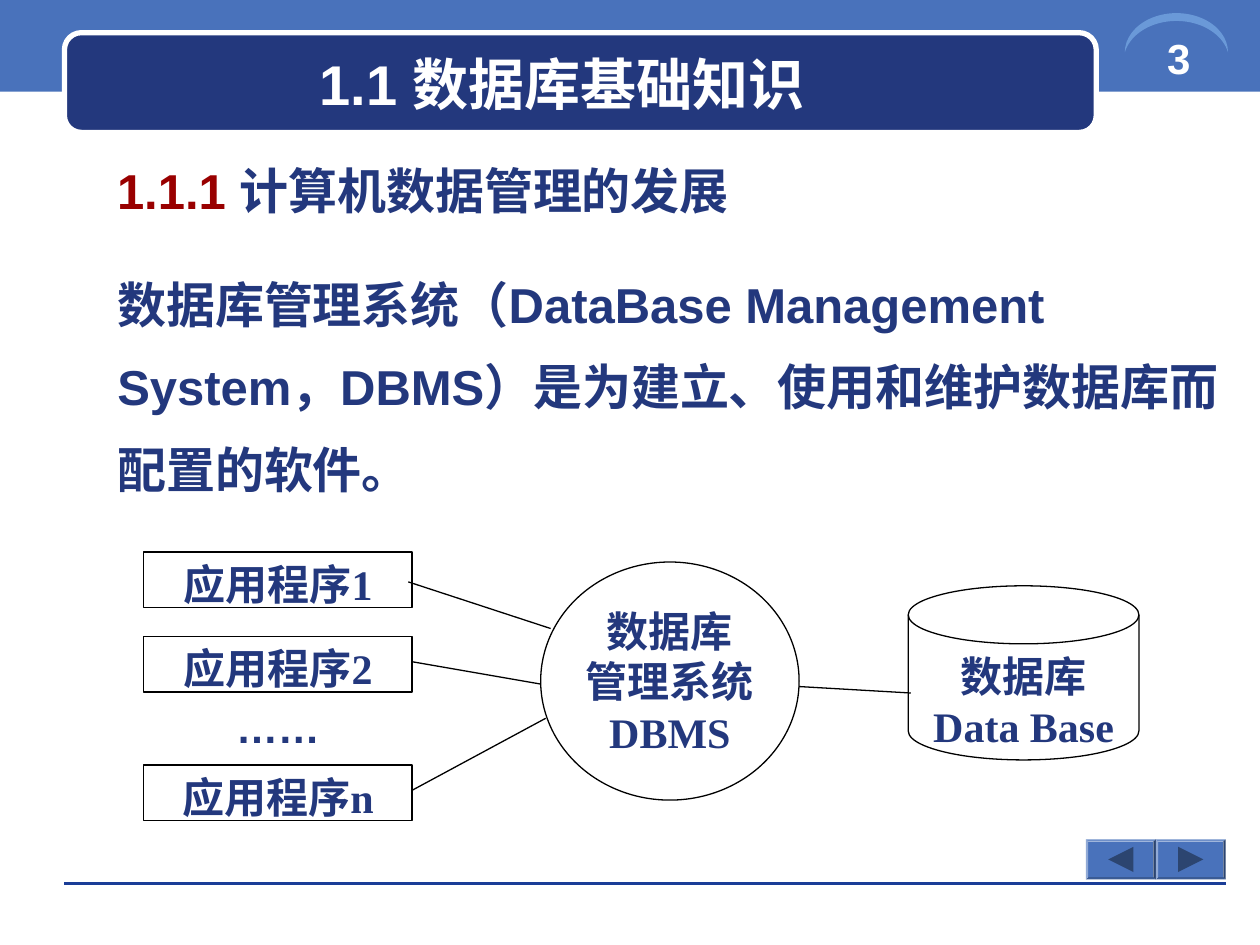
from lxml.etree import SubElement
from pptx import Presentation
from pptx.dml.color import RGBColor
from pptx.enum.shapes import MSO_CONNECTOR as CONN, MSO_SHAPE as SHAPE
from pptx.enum.text import MSO_ANCHOR as ANCHOR, MSO_AUTO_SIZE as AUTO, PP_ALIGN as ALIGN
from pptx.oxml.ns import qn
from pptx.util import Cm, Pt

NAVY, BLUE, SKY, RED = "23387D", "4972BB", "6A99D8", "990000"
WHITE, BLACK, SHADE = "FFFFFF", "000000", "2C4570"
SERIF = "Times New Roman"


def rgb(color):
    """Turn a hex string into a colour."""
    return RGBColor.from_string(color)


def add_shape(s, kind, box, fill, line=None, width=0.75):
    """Add a flat preset shape in a box given in centimetres."""
    sp = s.shapes.add_shape(kind, *map(Cm, box))
    sp.shadow.inherit = False
    sp.fill.solid()
    sp.fill.fore_color.rgb = rgb(fill)
    if line:
        sp.line.color.rgb = rgb(line)
        sp.line.width = Pt(width)
    else:
        sp.line.fill.background()
    return sp


def add_line(s, start, end, color=BLACK, width=0.75):
    """Join two points with a plain line."""
    cx = s.shapes.add_connector(CONN.STRAIGHT, *map(Cm, start + end))
    cx.line.color.rgb = rgb(color)
    cx.line.width = Pt(width)
    SubElement(cx._element.spPr, qn("a:effectLst"))


def add_textbox(s, box):
    """Add an empty text box."""
    return s.shapes.add_textbox(*map(Cm, box))


def move_placeholder(s, sp, box):
    """Place a placeholder in a box, in front of what is drawn so far."""
    sp.left, sp.top, sp.width, sp.height = map(Cm, box)
    s.shapes._spTree.append(sp._element)
    return sp


def write(sp, lines, size=24, font="Arial", color=NAVY, align=ALIGN.CENTER, anchor=ANCHOR.TOP):
    """Fill a shape with bold paragraphs of one format."""
    tf = sp.text_frame
    tf.word_wrap = True
    tf.auto_size = AUTO.NONE
    tf.vertical_anchor = anchor
    tf.text = "\n".join(lines)
    for p in tf.paragraphs:
        p.alignment = align
        p.font.size, p.font.name, p.font.bold = Pt(size), font, True
        p.font.color.rgb = rgb(color)
    return tf


def add_header(s, box, title, number):
    """Draw the top band with the title panel and the page number."""
    x, y, w, h = box
    add_shape(s, SHAPE.RECTANGLE, box, BLUE)
    panel = add_shape(s, SHAPE.ROUNDED_RECTANGLE, (x + 1.3, y + 0.74, 20.8, 2.01), NAVY, WHITE, 3)
    panel.adjustments[0] = 0.17
    arc = add_shape(s, SHAPE.MOON, (x + 23.32, y - 0.3, 0.79, 2.08), SKY)
    arc.rotation = 90
    arc.adjustments[0] = 0.2
    write(add_textbox(s, (x + 22.61, y + 0.61, 2.31, 1.8)), [number], color=WHITE)
    sp = move_placeholder(s, s.shapes.title, (x + 1.52, y + 0.97, 19.89, 1.57))
    tf = write(sp, [title], 32, color=WHITE, anchor=ANCHOR.MIDDLE)
    tf.margin_left = tf.margin_right = tf.margin_top = tf.margin_bottom = 0


def add_body(s, box, number, heading, definition):
    """Place the section heading and the definition below it."""
    x, y, w, h = box
    tf = write(add_textbox(s, (x, y, 18.21, 1.45)), [number], 28, align=ALIGN.LEFT)
    p = tf.paragraphs[0]
    p.space_before = Pt(17.5)
    p.runs[0].font.color.rgb = rgb(RED)
    p.add_run().text = heading
    sp = move_placeholder(s, s.placeholders[1], (x, y + 1.81, w, h - 1.81))
    p = write(sp, [definition], 28, align=ALIGN.LEFT).paragraphs[0]
    p.space_before, p.line_spacing = Pt(17.5), 1.4
    pPr = p._p.get_or_add_pPr()
    pPr.set("marL", "0")
    pPr.set("indent", "0")
    pPr.insert_element_before(pPr.makeelement(qn("a:buNone"), {}), "a:tabLst", "a:defRPr", "a:extLst")


def add_diagram(s, box):
    """Draw the programs, the DBMS and the database with their links."""
    x, y, w, h = box
    box_w, box_h = 5.41, 1.12
    circle = add_shape(s, SHAPE.OVAL, (x + 8, y + 0.2, 5.21, 4.8), WHITE, BLACK)
    tf = write(circle, ["数据库", "管理系统", "DBMS"], font=SERIF, anchor=ANCHOR.MIDDLE)
    tf.margin_left = tf.margin_right = tf.margin_top = tf.margin_bottom = 0
    disk = add_shape(s, SHAPE.FLOWCHART_MAGNETIC_DISK, (x + w - 4.65, y + 0.68, 4.65, 3.51), WHITE, BLACK)
    write(disk, ["数据库", "Data Base"], font=SERIF)
    for name, top in (("1", 0), ("2", 1.7), ("n", h - box_h)):
        sp = add_shape(s, SHAPE.RECTANGLE, (x, y + top, box_w, box_h), WHITE, BLACK)
        write(sp, ["应用程序" + name], font=SERIF)
    write(add_textbox(s, (x, y + 2.89, box_w, box_h)), ["……"])
    links = ((5.33, 0.6, 8.2, 1.54), (box_w, 2.21, 8, 2.66),
             (box_w, 4.8, 8.1, 3.35), (13.21, 2.71, 15.46, 2.84))
    for x1, y1, x2, y2 in links:
        add_line(s, (x + x1, y + y1), (x + x2, y + y2))


def add_footer(s, box):
    """Draw the bottom rule and the back and forward buttons above it."""
    x, y, w, h = box
    add_line(s, (x, y + h), (x + w, y + h), "1A3D97", 0)
    button_w, button_h, arrow = 1.41, 0.81, 0.51
    for i, turn in enumerate((-90, 90)):
        left = x + w - (2 - i) * button_w
        bevel = add_shape(s, SHAPE.BEVEL, (left, y, button_w, button_h), BLUE)
        bevel.adjustments[0] = 0.06
        corner = left + (button_w - arrow) / 2, y + (button_h - arrow) / 2
        add_shape(s, SHAPE.ISOSCELES_TRIANGLE, corner + (arrow, arrow), SHADE).rotation = turn


def main():
    """Build the slide and save it."""
    prs = Presentation()
    prs.slide_width, prs.slide_height = Cm(25.4), Cm(19.05)
    s = prs.slides.add_slide(prs.slide_layouts[1])
    add_header(s, (0, -0.08, 25.4, 1.93), "1.1 数据库基础知识 ", "3")
    add_body(s, (2.11, 3.12, 22.81, 7.02), "1.1.1 ", "计算机数据管理的发展",
             "数据库管理系统（DataBase Management System，DBMS）是为建立、使用和维护数据库而配置的软件。")
    add_footer(s, (1.3, 16.92, 23.41, 0.89))
    add_diagram(s, (2.9, 11.13, 20.06, 5.41))
    prs.save("out.pptx")


if __name__ == "__main__":
    main()
